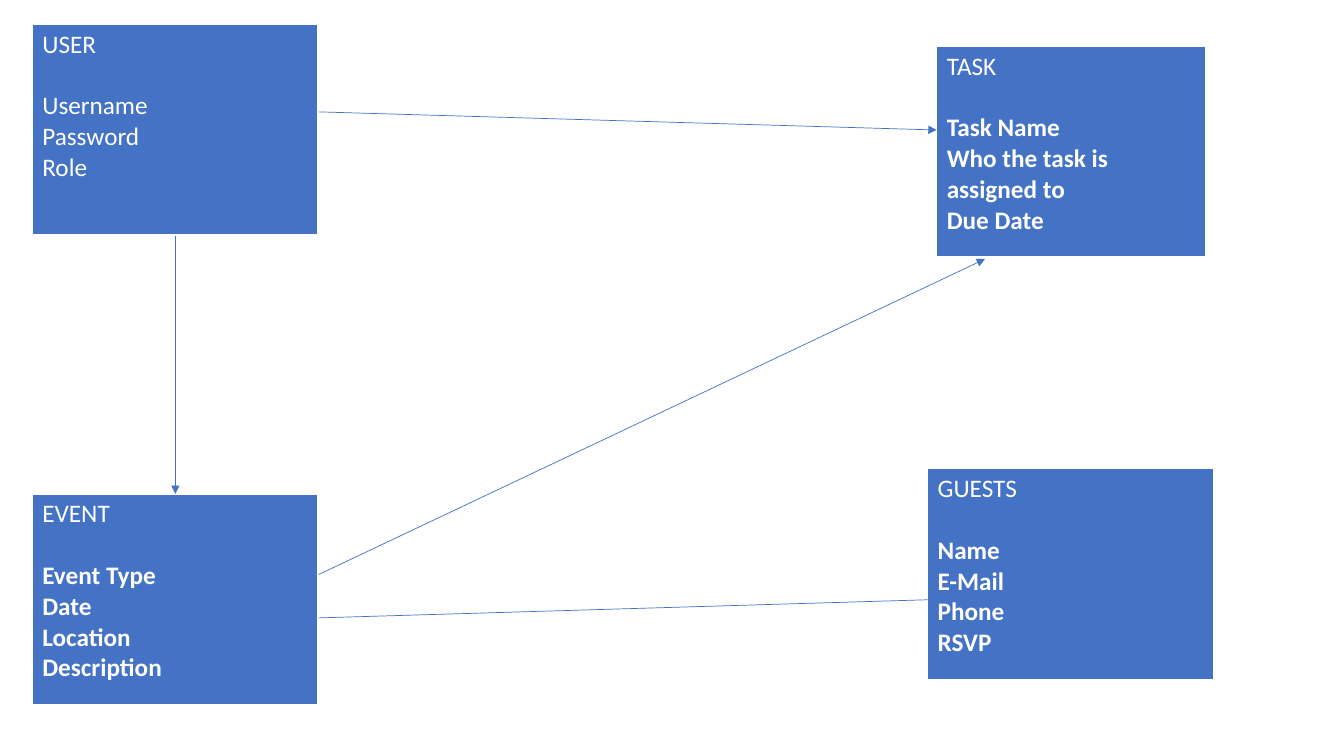
from pptx import Presentation
from pptx.dml.color import RGBColor
from pptx.enum.shapes import MSO_CONNECTOR
from pptx.oxml.ns import qn
from pptx.util import Inches, Pt
from lxml.etree import SubElement

BLUE = RGBColor(0x44, 0x72, 0xC4)
WHITE = RGBColor(0xFF, 0xFF, 0xFF)
BOX_HEIGHT = 2.1
BORDERS = {"lnL": 1, "lnR": 1, "lnT": 1, "lnB": 3}


def add_borders(cell):
    """Give the cell white borders, thicker at the bottom."""
    properties = cell._tc.get_or_add_tcPr()
    for side, width in BORDERS.items():
        border = SubElement(properties, qn(f"a:{side}"), w=str(Pt(width)))
        fill = SubElement(border, qn("a:solidFill"))
        SubElement(fill, qn("a:srgbClr"), val=str(WHITE))


def add_entity(page, left, top, width, name, fields, bold=True):
    """Add a one-cell table with an entity name above its fields."""
    frame = page.shapes.add_table(
        1, 1, Inches(left), Inches(top), Inches(width), Inches(BOX_HEIGHT)
    )
    cell = frame.table.cell(0, 0)
    add_borders(cell)
    cell.fill.solid()
    cell.fill.fore_color.rgb = BLUE
    cell.text = "\n".join([name, *fields])
    for index, para in enumerate(cell.text_frame.paragraphs):
        para.font.name = "Calibri"
        para.font.size = Pt(18)
        para.font.color.rgb = WHITE
        para.font.bold = bold and index > 0
    cell.text_frame.paragraphs[0].space_after = Pt(22)


def add_relation(page, start, end, arrow=True):
    """Add a thin line between two points, with an optional arrowhead."""
    points = [Inches(value) for value in (*start, *end)]
    relation = page.shapes.add_connector(MSO_CONNECTOR.STRAIGHT, *points)
    relation.line.color.rgb = BLUE
    relation.line.width = Pt(0.5)
    if arrow:
        SubElement(relation.line._get_or_add_ln(), qn("a:tailEnd"), type="triangle")
    SubElement(relation._element.spPr, qn("a:effectLst"))


def main():
    """Build the entity diagram and save it."""
    deck = Presentation()
    deck.slide_width = Inches(13.33)
    deck.slide_height = Inches(7.5)
    page = deck.slides.add_slide(deck.slide_layouts[6])

    add_entity(page, 0.32, 0.24, 2.83, "USER",
               ["Username", "Password", "Role"], bold=False)
    add_entity(page, 0.32, 4.9, 2.83, "EVENT",
               ["Event Type", "Date", "Location", "Description"])
    add_entity(page, 9.29, 0.46, 2.67, "TASK",
               ["Task Name", "Who the task is assigned to", "Due Date"])
    add_entity(page, 9.2, 4.65, 2.84, "GUESTS",
               ["Name", "E-Mail", "Phone", "RSVP"])

    add_relation(page, (1.74, 2.34), (1.74, 4.9))
    add_relation(page, (3.16, 1.11), (9.29, 1.29))
    add_relation(page, (3.16, 5.7), (9.77, 2.57))
    add_relation(page, (3.16, 6.13), (9.2, 5.95), arrow=False)

    deck.save("out.pptx")


if __name__ == "__main__":
    main()
